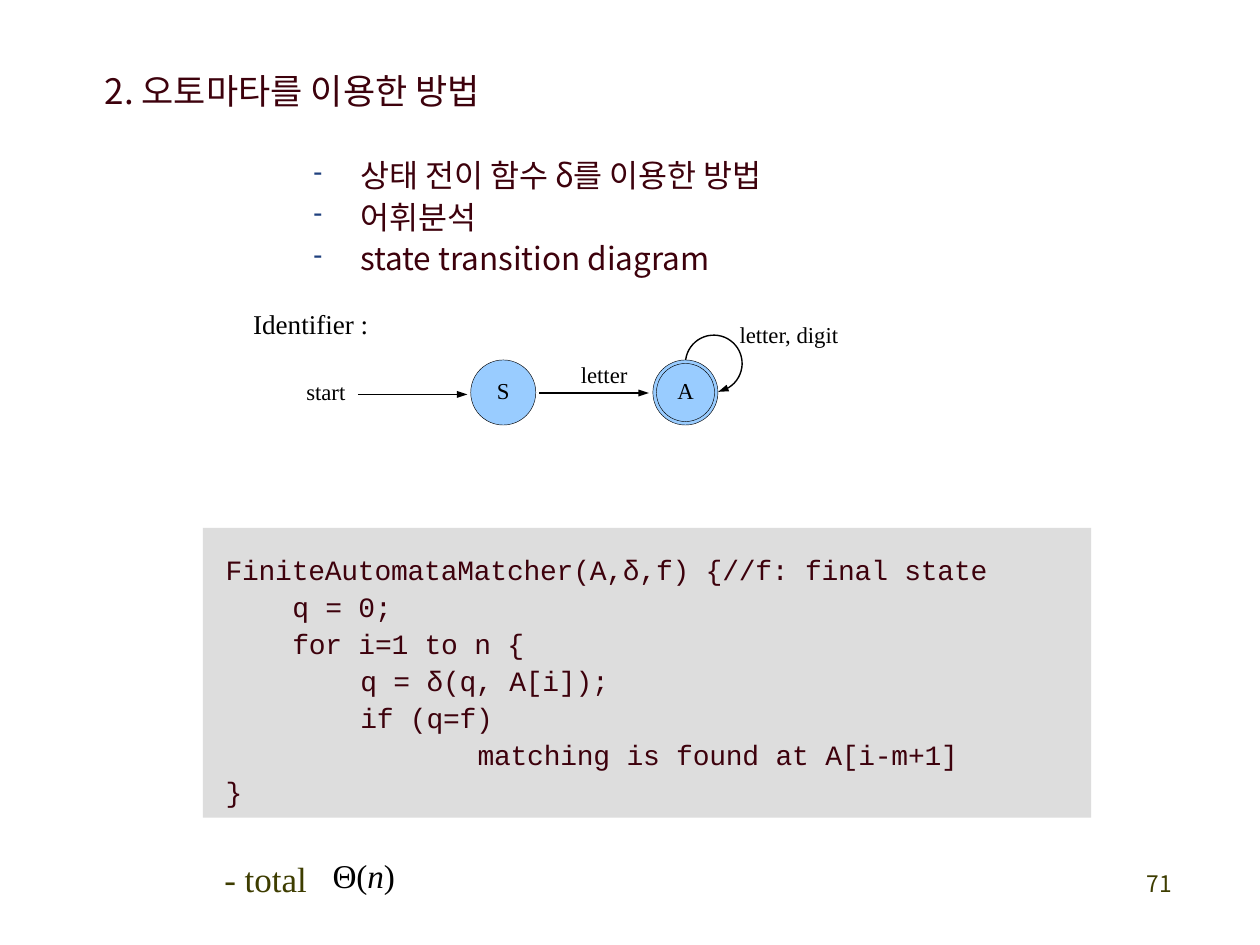
from dataclasses import dataclass
from math import cos, radians, sin

from lxml.etree import SubElement
from pptx import Presentation
from pptx.dml.color import RGBColor
from pptx.enum.shapes import MSO_CONNECTOR as Conn, MSO_SHAPE as Shape
from pptx.enum.text import MSO_ANCHOR as Anchor, PP_ALIGN as Align
from pptx.oxml.ns import qn
from pptx.util import Pt


@dataclass(frozen=True)
class Theme:
    sans: str = "Noto Sans CJK KR"
    serif: str = "Times New Roman"
    mono: str = "Courier New"
    maroon: str = "3D010C"
    olive: str = "3E3D00"
    black: str = "000000"
    dash: str = "1F407E"
    state: str = "99CCFF"
    panel: str = "DDDDDD"
    title: float = 20
    bullet: float = 18
    code: float = 16
    caption: float = 15.5
    formula: float = 19
    label: float = 13
    arrow_width: float = 0.78
    outline: float = 0.25


T = Theme()


@dataclass(frozen=True)
class Label:
    text: str
    left: float
    top: float
    width: float
    size: float = T.label
    font: str = T.serif
    color: str = T.black
    leading: float | None = None


@dataclass(frozen=True)
class State:
    name: str
    cx: float
    final: bool = False


@dataclass(frozen=True)
class Arrow:
    x1: float
    x2: float
    y: float


@dataclass(frozen=True)
class CodeLine:
    indent: float
    text: str


LABELS = [
    Label("71", 655.2, 495.4, 16.6, font=T.sans, color=T.olive, leading=15.6),
    Label("2. 오토마타를 이용한 방법", 59.8, 37.8, 238.3, T.title, T.sans, T.maroon, 24),
    Label("start", 175, 213.8, 26),
    Label("letter", 331.9, 204.5, 29),
    Label("letter, digit", 422.6, 181.4, 60),
    Label("Identifier :", 144.7, 174, 69, T.caption),
    Label("- total", 128.2, 488.2, 50, T.title, color=T.olive),
]
BULLETS = ["상태 전이 함수 δ를 이용한 방법", "어휘분석", "state transition diagram"]
CODE = [
    CodeLine(13, "FiniteAutomataMatcher(A,δ,f) {//f: final state"),
    CodeLine(51.1, "q = 0;"),
    CodeLine(51.1, "for i=1 to n {"),
    CodeLine(90, "q = δ(q, A[i]);"),
    CodeLine(90, "if (q=f)"),
    CodeLine(157, "matching is found at A[i-m+1]"),
    CodeLine(13, "}"),
]
STATES = [State("S", 287.6), State("A", 391.7, final=True)]
ARROWS = [Arrow(204.5, 267.1, 225.4), Arrow(308.2, 370.8, 224.6)]
STATE_CY, OUTER_R, INNER_R = 224.3, 18.6, 16.6


def add_text(p, text: str, *, size: float, font: str, color: str,
             italic: bool = False, spc: float = 0, leading: float | None = None):
    r = p.add_run()
    r.text = text
    r.font.size, r.font.name, r.font.italic = Pt(size), font, italic
    r.font.color.rgb = RGBColor.from_string(color)
    rPr = r.font._element
    rPr.set("spc", str(round(spc * 100)))
    SubElement(rPr, qn("a:ea"), typeface=font)
    if leading:
        p.line_spacing = Pt(leading)


def set_frame(s, top: float = 0, bottom: float = 0, anchor=Anchor.TOP):
    tf = s.text_frame
    tf.word_wrap, tf.vertical_anchor = True, anchor
    tf.margin_left = tf.margin_right = 0
    tf.margin_top, tf.margin_bottom = Pt(top), Pt(bottom)
    return tf


def add_box(sp, left: float, top: float, width: float, height: float, inset: float = 1.8):
    s = sp.add_textbox(Pt(left), Pt(top), Pt(width), Pt(height))
    return set_frame(s, inset)


def add_label(sp, label: Label) -> None:
    tf = add_box(sp, label.left, label.top, label.width, label.size * 1.3)
    add_text(tf.paragraphs[0], label.text, size=label.size, font=label.font,
             color=label.color, leading=label.leading)


def next_paragraph(tf, i: int):
    return tf.add_paragraph() if i else tf.paragraphs[0]


def set_indent(p, left: float, first: float = 0):
    pPr = p._p.get_or_add_pPr()
    pPr.set("marL", str(Pt(left)))
    pPr.set("indent", str(Pt(first)))
    return pPr


def add_bullets(sp, lines: list[str]) -> None:
    tf = add_box(sp, 177.8, 84.2, 288, 73.4, inset=3)
    for i, line in enumerate(lines):
        p = next_paragraph(tf, i)
        pPr = set_indent(p, 28, -26.6)
        color = SubElement(pPr, qn("a:buClr"))
        SubElement(color, qn("a:srgbClr"), val=T.dash)
        SubElement(pPr, qn("a:buSzPct"), val="81000")
        SubElement(pPr, qn("a:buChar"), char="-")
        add_text(p, line, size=T.bullet, font=T.sans, color=T.maroon, leading=23.7)


def add_filled(sp, kind, left, top, width, height, fill: str, outline: float = 0):
    s = sp.add_shape(kind, Pt(left), Pt(top), Pt(width), Pt(height))
    s.shadow.inherit = False
    s.fill.solid()
    s.fill.fore_color.rgb = RGBColor.from_string(fill)
    if outline:
        s.line.color.rgb = RGBColor.from_string(T.black)
        s.line.width = Pt(outline)
    else:
        s.line.fill.background()
    return s


def add_code(sp, lines: list[CodeLine]) -> None:
    tf = set_frame(add_filled(sp, Shape.RECTANGLE, 115.9, 301.7, 507.6, 165.6, T.panel), 12.3)
    for i, line in enumerate(lines):
        p = next_paragraph(tf, i)
        p.alignment = Align.LEFT
        set_indent(p, line.indent)
        add_text(p, line.text, size=T.code, font=T.mono, color=T.maroon,
                 spc=-0.1, leading=21.1)


def add_state(sp, state: State) -> None:
    for radius in (OUTER_R, INNER_R) if state.final else (OUTER_R,):
        s = add_filled(sp, Shape.OVAL, state.cx - radius, STATE_CY - radius,
                       2 * radius, 2 * radius, T.state, T.outline)
    p = set_frame(s, bottom=2, anchor=Anchor.MIDDLE).paragraphs[0]
    p.alignment = Align.CENTER
    add_text(p, state.name, size=T.label, font=T.serif, color=T.black)


def style_arrow(s) -> None:
    s.line.color.rgb = RGBColor.from_string(T.black)
    s.line.width = Pt(T.arrow_width)
    SubElement(s.line._get_or_add_ln(), qn("a:tailEnd"), type="triangle", w="sm", len="med")
    SubElement(s._element.spPr, qn("a:effectLst"))


def add_arrow(sp, a: Arrow) -> None:
    style_arrow(sp.add_connector(Conn.STRAIGHT, Pt(a.x1), Pt(a.y), Pt(a.x2), Pt(a.y)))


def add_self_loop(sp, cx: float, cy: float, radius: float, tip: tuple[float, float]) -> None:
    arc = [(cx + radius * cos(radians(d)), cy + radius * sin(radians(d)))
           for d in range(187, 426, 7)]
    start, *rest = [(Pt(x), Pt(y)) for x, y in arc + [tip]]
    builder = sp.build_freeform(*start, scale=1.0)
    builder.add_line_segments(rest, close=False)
    s = builder.convert_to_shape()
    s.fill.background()
    style_arrow(s)


def main() -> None:
    prs = Presentation()
    prs.slide_width, prs.slide_height = Pt(720), Pt(540)
    sp = prs.slides.add_slide(prs.slide_layouts[6]).shapes

    # Title, captions and page number
    for label in LABELS:
        add_label(sp, label)
    add_bullets(sp, BULLETS)

    # State transition diagram
    for state in STATES:
        add_state(sp, state)
    for arrow in ARROWS:
        add_arrow(sp, arrow)
    add_self_loop(sp, 407.9, 207.7, 16.2, tip=(410.4, 223.9))

    # Matching algorithm and its cost
    add_code(sp, CODE)
    p = add_box(sp, 190.1, 486.7, 40, 25.2).paragraphs[0]
    for text in ("Θ(", "n", ")"):
        add_text(p, text, size=T.formula, font=T.serif, color=T.black,
                 italic=text == "n", spc=-0.2)

    prs.save("out.pptx")


if __name__ == "__main__":
    main()
